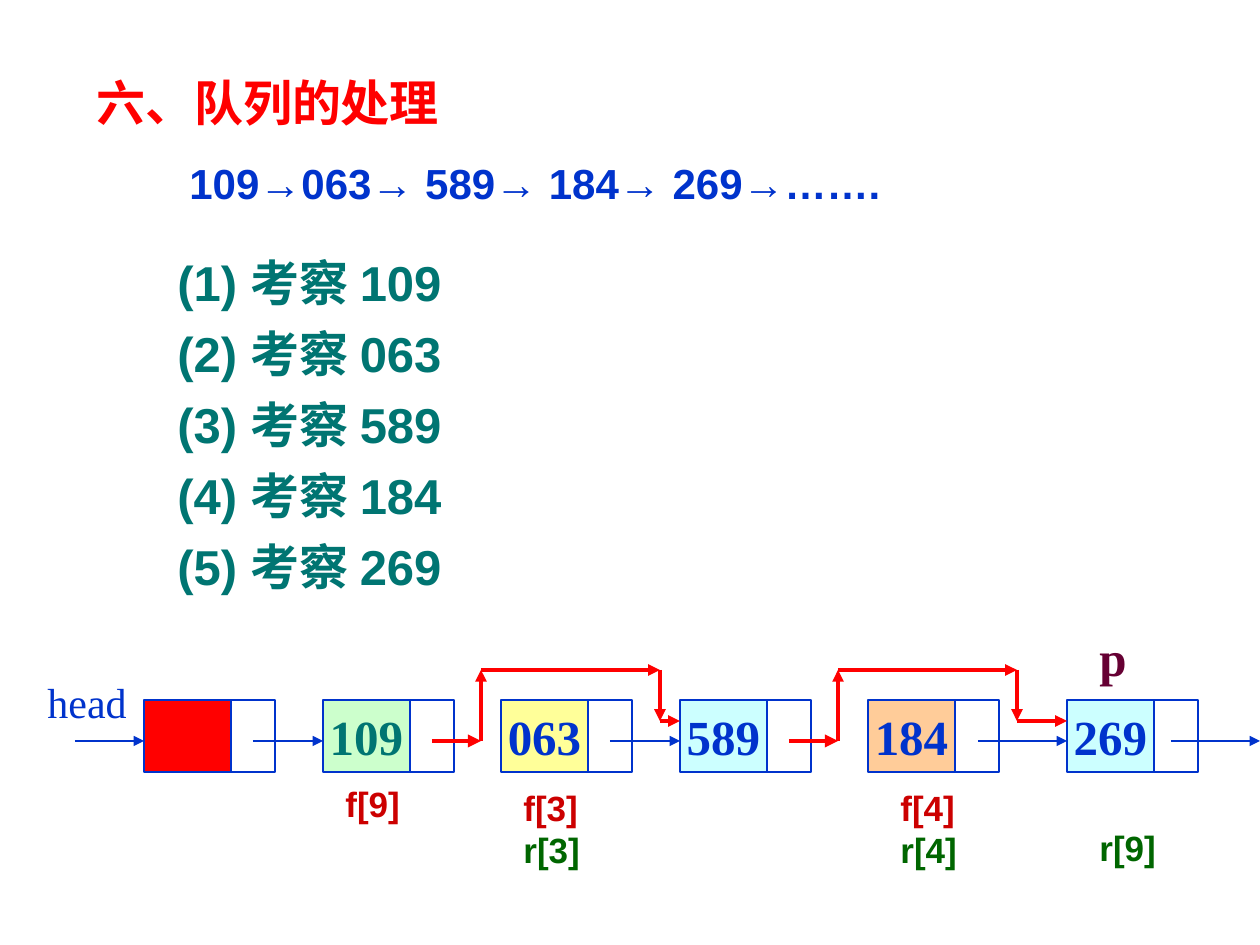
from dataclasses import dataclass
from itertools import pairwise

from lxml import etree
from pptx import Presentation
from pptx import util as u
from pptx.dml import color
from pptx.enum import shapes, text
from pptx.oxml import ns

PX = 914400 / 126
COLORS = {
    "white": "FFFFFF", "red": "FF0000", "blue": "0033CC", "teal": "007572",
    "mint": "CCFFCC", "yellow": "FFFF99", "cyan": "CCFFFF", "orange": "FFCC99",
    "plum": "660033", "front": "CC0000", "rear": "006600",
}
SERIF, SANS = "Times New Roman", "Arial"
NODE_TOP, NODE_HEIGHT = 700, 72
DATA_WIDTH, LINK_OFFSET, LINK_WIDTH = 87, 84, 47
POINTER_Y, BYPASS_TOP, BYPASS_BOTTOM = 741, 670, 721


@dataclass
class Line:
    content: str
    size: int
    color: str
    font: str = SANS
    bold: bool = True
    before: float = 0
    left: int = 0


@dataclass
class Label:
    box: tuple[int, int, int, int]
    lines: list[Line]
    wrap: bool = False


@dataclass
class Node:
    left: int
    fill: str
    value: str = ""
    color: str = "blue"


@dataclass
class Bypass:
    start: int
    rise: int
    fall: int
    end: int


def emu(pixels: int) -> u.Emu:
    return u.Emu(round(pixels * PX))


def rgb(name: str) -> color.RGBColor:
    return color.RGBColor.from_string(COLORS[name])


def write_line(paragraph, line: Line) -> None:
    paragraph.space_before = u.Pt(line.before)
    if line.left:
        paragraph._p.get_or_add_pPr().set("marL", str(emu(line.left)))
    run = paragraph.add_run()
    run.text = line.content
    run.font.size = u.Pt(line.size)
    run.font.name = line.font
    run.font.bold = line.bold
    run.font.color.rgb = rgb(line.color)


def draw_label(slide, label: Label) -> None:
    shape = slide.shapes.add_textbox(*map(emu, label.box))
    frame = shape.text_frame
    frame.word_wrap = label.wrap
    for index, line in enumerate(label.lines):
        paragraph = frame.add_paragraph() if index else frame.paragraphs[0]
        write_line(paragraph, line)


def draw_cell(slide, left: int, width: int, fill: str):
    shape = slide.shapes.add_shape(
        shapes.MSO_SHAPE.RECTANGLE, emu(left), emu(NODE_TOP), emu(width), emu(NODE_HEIGHT))
    shape.shadow.inherit = False
    shape.fill.solid()
    shape.fill.fore_color.rgb = rgb(fill)
    shape.line.color.rgb = rgb("blue")
    shape.line.width = u.Pt(0.75)
    return shape


def draw_node(slide, node: Node) -> None:
    draw_cell(slide, node.left + LINK_OFFSET, LINK_WIDTH, "white")
    frame = draw_cell(slide, node.left, DATA_WIDTH, node.fill).text_frame
    if node.value:
        frame.word_wrap = False
        frame.vertical_anchor = text.MSO_ANCHOR.MIDDLE
        paragraph = frame.paragraphs[0]
        paragraph.alignment = text.PP_ALIGN.CENTER
        write_line(paragraph, Line(node.value, 28, node.color, SERIF))


def draw_arrow(slide, start: tuple[int, int], end: tuple[int, int],
               line_color: str = "blue", width: float = 0.75) -> None:
    connector = slide.shapes.add_connector(
        shapes.MSO_CONNECTOR.STRAIGHT, *map(emu, start + end))
    connector.line.color.rgb = rgb(line_color)
    connector.line.width = u.Pt(width)
    outline = connector.line._get_or_add_ln()
    etree.SubElement(outline, ns.qn("a:tailEnd")).set("type", "triangle")
    etree.SubElement(connector._element.spPr, ns.qn("a:effectLst"))


def draw_bypass(slide, bypass: Bypass) -> None:
    points = [
        (bypass.start, POINTER_Y), (bypass.rise, POINTER_Y),
        (bypass.rise, BYPASS_TOP), (bypass.fall, BYPASS_TOP),
        (bypass.fall, BYPASS_BOTTOM), (bypass.end, BYPASS_BOTTOM),
    ]
    for index, (start, end) in enumerate(pairwise(points)):
        draw_arrow(slide, start, end, "red", 2.25 if index else 2.5)


def queue_label(left: int, top: int, front: str = "", rear: str = "") -> Label:
    entries = [(front, "front"), (rear, "rear")]
    lines = [Line(content, 20, name) for content, name in entries if content]
    return Label((left, top, 82, 13 + 42 * len(lines)), lines)


NODES = [
    Node(144, "red"),
    Node(323, "mint", "109", "teal"),
    Node(501, "yellow", "063"),
    Node(680, "cyan", "589"),
    Node(868, "orange", "184"),
    Node(1067, "cyan", "269"),
]
POINTERS = [(75, 144), (253, 323), (610, 680), (978, 1067), (1171, 1260)]
BYPASSES = [Bypass(432, 481, 660, 680), Bypass(789, 838, 1017, 1067)]
STEPS = [
    Line(f"({number}) 考察 {node.value}", 28, "teal", before=7 if number > 1 else 25.5, left=81)
    for number, node in enumerate(NODES[1:], 1)
]
LABELS = [
    Label((84, 66, 1176, 586), [
        Line("六、队列的处理", 28, "red", before=7),
        Line("109→063→ 589→ 184→ 269→…….", 24, "blue", before=15, left=93),
        *STEPS,
    ], wrap=True),
    Label((35, 670, 105, 63), [Line("head", 24, "blue", SERIF, bold=False)]),
    Label((1087, 621, 52, 72), [Line("p", 28, "plum", SERIF)]),
    queue_label(333, 776, front="f[9]"),
    queue_label(511, 780, front="f[3]", rear="r[3]"),
    queue_label(888, 780, front="f[4]", rear="r[4]"),
    queue_label(1087, 820, rear="r[9]"),
]


def main() -> None:
    presentation = Presentation()
    presentation.slide_width, presentation.slide_height = emu(1260), emu(945)
    slide = presentation.slides.add_slide(presentation.slide_layouts[6])
    for node in NODES:
        draw_node(slide, node)
    for start, end in POINTERS:
        draw_arrow(slide, (start, POINTER_Y), (end, POINTER_Y))
    for bypass in BYPASSES:
        draw_bypass(slide, bypass)
    for label in LABELS:
        draw_label(slide, label)
    presentation.save("out.pptx")


if __name__ == "__main__":
    main()
